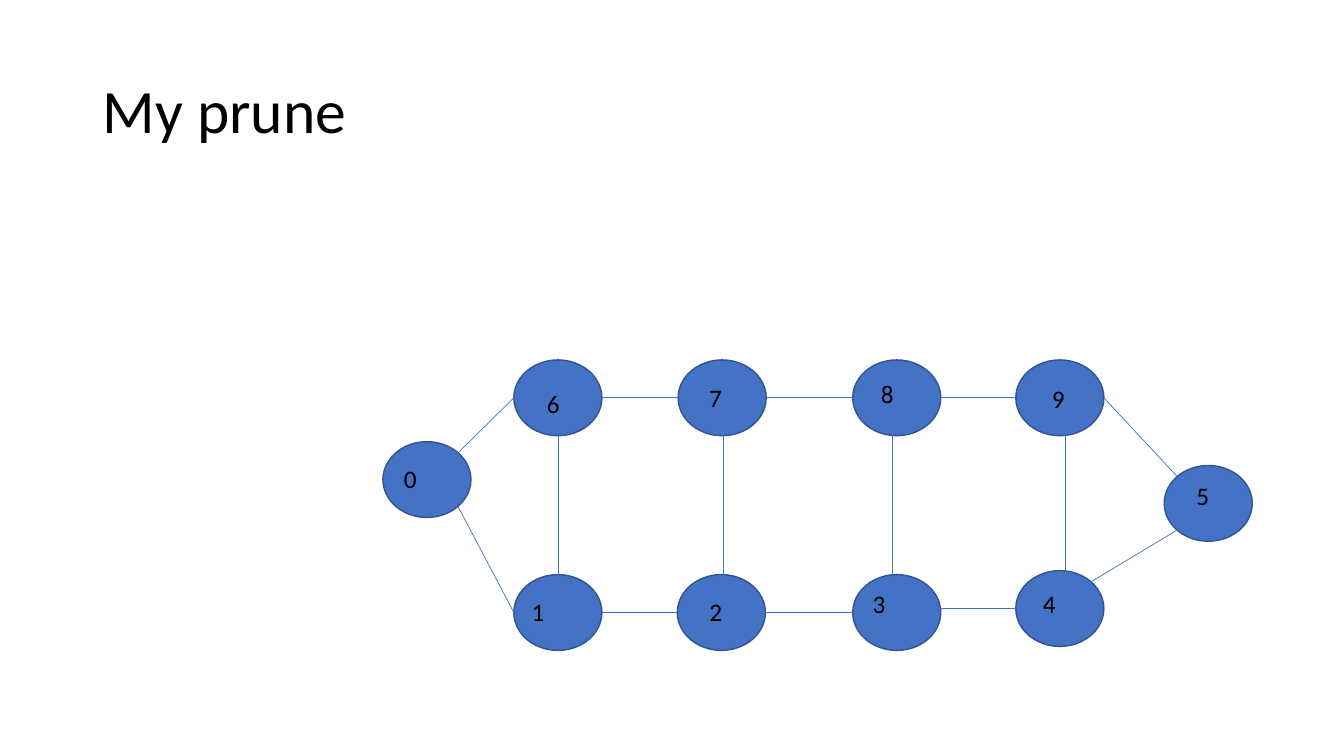
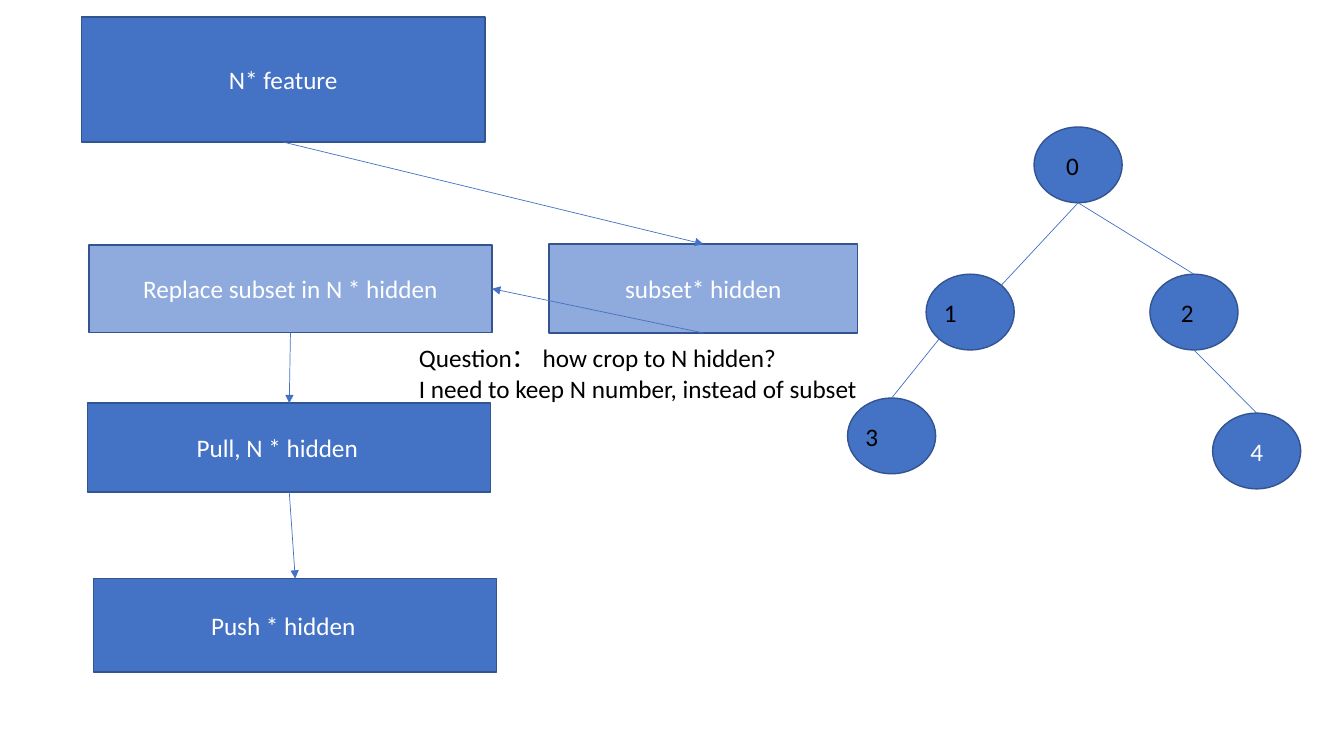
from lxml import etree
from pptx import Presentation
from pptx.dml.color import RGBColor
from pptx.enum.shapes import MSO_CONNECTOR as Connector, MSO_SHAPE as Preset
from pptx.enum.text import MSO_ANCHOR as Anchor, PP_ALIGN as Align
from pptx.oxml.ns import qn
from pptx.util import Cm, Pt

COLORS = {
    "node": "4472C4",
    "subset": "8FAADC",
    "outline": "325491",
    "edge": "4472C4",
    "ink": "000000",
    "paper": "FFFFFF",
}
RGB = {role: RGBColor.from_string(value) for role, value in COLORS.items()}

NODE_WIDTH, NODE_HEIGHT = 2.22, 1.91
# Edge ends as fractions of a node's width and height
SIDES = {
    "top": (0.5, 0), "bottom": (0.5, 1), "left": (0, 0.5), "right": (1, 0.5),
    "top left": (0.15, 0.15), "top right": (0.85, 0.15),
    "bottom left": (0.15, 0.85), "bottom right": (0.85, 0.85),
}


def add_block(slide, preset, box, text="", fill="node", ink="paper",
              align=Align.CENTER, size=18, spacing=None, **frame_format):
    """Add a filled shape, or a plain text box when preset is None; box is in cm."""
    lengths = [Cm(length) for length in box]
    if preset is None:
        block = slide.shapes.add_textbox(*lengths)
    else:
        block = slide.shapes.add_shape(preset, *lengths)
        block.shadow.inherit = False
        block.fill.solid()
        block.fill.fore_color.rgb = RGB[fill]
        block.line.color.rgb = RGB["outline"]
        block.line.width = Pt(1)
    if text:
        frame = block.text_frame
        frame.text = text
        for name, value in {"word_wrap": True, **frame_format}.items():
            setattr(frame, name, value)
        font_format = {"name": "Calibri", "size": Pt(size)}
        for paragraph in frame.paragraphs:
            paragraph.alignment = align
            paragraph.line_spacing = spacing
            for run in paragraph.runs:
                for name, value in font_format.items():
                    setattr(run.font, name, value)
                run.font.color.rgb = RGB[ink]
    return block


def add_line(slide, start=(0, 0), end=(0, 0)):
    line = slide.shapes.add_connector(
        Connector.STRAIGHT, *[Cm(length) for length in (*start, *end)])
    line.line.color.rgb = RGB["edge"]
    line.line.width = Pt(0.5)
    etree.SubElement(line._element.spPr, qn("a:effectLst"))
    return line


deck = Presentation()
deck.slide_width, deck.slide_height = Cm(33.87), Cm(19.05)
blank = deck.slide_layouts[6]
prune_slide = deck.slides.add_slide(blank)
flow_slide = deck.slides.add_slide(blank)

# Title of the pruning slide
add_block(prune_slide, None, (2.34, 1.02, 29.21, 3.68), "My prune", ink="ink",
          align=Align.LEFT, size=44, spacing=0.9, vertical_anchor=Anchor.MIDDLE)

# Flow of feature and hidden blocks: box, fill, right inset
steps = {
    "N* feature": ((2.06, 0.43, 10.16, 3.15), "node", 0.25),
    "subset* hidden": ((13.84, 6.15, 7.77, 2.24), "subset", 0.25),
    "Replace subset in N * hidden": ((2.24, 6.17, 10.16, 2.21), "subset", 0.25),
    "Pull, N * hidden": ((2.21, 10.16, 10.16, 2.24), "node", 0.85),
    "Push * hidden": ((2.36, 14.58, 10.16, 2.36), "node", 0.85),
}
flow = [
    add_block(flow_slide, Preset.RECTANGLE, box, text, fill,
              vertical_anchor=Anchor.MIDDLE, margin_right=Cm(inset))
    for text, (box, fill, inset) in steps.items()
]
feature, subset, replaced, pull, push = flow
TOP, BOTTOM, RIGHT = 0, 2, 3
for source, source_side, target, target_side in [
    (feature, BOTTOM, subset, TOP),
    (subset, BOTTOM, replaced, RIGHT),
    (replaced, BOTTOM, pull, TOP),
    (pull, BOTTOM, push, TOP),
]:
    arrow = add_line(flow_slide)
    arrow.begin_connect(source, source_side)
    arrow.end_connect(target, target_side)
    etree.SubElement(arrow.line._get_or_add_ln(), qn("a:tailEnd"), type="triangle")

add_block(flow_slide, None, (10.31, 8.51, 11.68, 1.8),
          "Question： how crop to N hidden?\nI need to keep N number, instead of subset",
          ink="ink", align=Align.LEFT, word_wrap=False)

# Graphs: node -> (left, top), label offset or None for a centred label
ladder_nodes = {
    "0": ((9.65, 11.13), (0.28, 0.43)),
    "1": ((12.95, 14.48), (0.2, 0.43)),
    "2": ((17.07, 14.48), (0.56, 0.43)),
    "3": ((21.49, 14.48), (0.25, 0.23)),
    "4": ((25.6, 14.38), (0.43, 0.33)),
    "5": ((29.34, 11.73), (0.56, 0.25)),
    "6": ((12.95, 9.07), (0.58, 0.58)),
    "7": ((17.09, 9.07), (0.53, 0.43)),
    "8": ((21.49, 9.07), (0.46, 0.33)),
    "9": ((25.6, 9.07), (0.66, 0.46)),
}
ladder_edges = [
    ("6", "left", "0", "top right"),
    ("0", "bottom right", "1", "left"),
    ("9", "right", "5", "top left"),
    ("5", "bottom left", "4", "top right"),
]
ladder_edges += [(a, "right", b, "left") for a, b in ("67", "78", "89", "12", "23")]

tree_nodes = {
    "0": ((26.06, 3.2), (0.56, 0.46)),
    "1": ((23.34, 6.91), (0.2, 0.46)),
    "2": ((28.98, 6.91), (0.53, 0.46)),
    "3": ((21.36, 10.03), (0.2, 0.46)),
    "4": ((30.56, 10.41), None),
}
tree_edges = [
    ("0", "bottom", "1", "top right"),
    ("0", "bottom", "2", "top"),
    ("3", "top", "1", "bottom left"),
    ("4", "top", "2", "bottom"),
]

for slide, nodes, edges in [
    (prune_slide, ladder_nodes, ladder_edges),
    (flow_slide, tree_nodes, tree_edges),
]:
    for number, ((left, top), offset) in nodes.items():
        add_block(slide, Preset.OVAL, (left, top, NODE_WIDTH, NODE_HEIGHT),
                  "" if offset else number, vertical_anchor=Anchor.MIDDLE)
        if offset:
            add_block(slide, None, (left + offset[0], top + offset[1], 1.1, 1.02),
                      number, ink="ink", align=Align.LEFT)
    for first, first_side, second, second_side in edges:
        ends = []
        for number, side in ((first, first_side), (second, second_side)):
            (left, top), _ = nodes[number]
            across, down = SIDES[side]
            ends.append((left + across * NODE_WIDTH, top + down * NODE_HEIGHT))
        add_line(slide, *ends)

# Rungs of the ladder, then the level edge from 3 to 4
for rung in (14.07, 18.24, 22.48, 26.85):
    add_line(prune_slide, (rung, 10.97), (rung, 14.48))
add_line(prune_slide, (23.4, 15.34), (25.6, 15.34))

deck.save("out.pptx")
